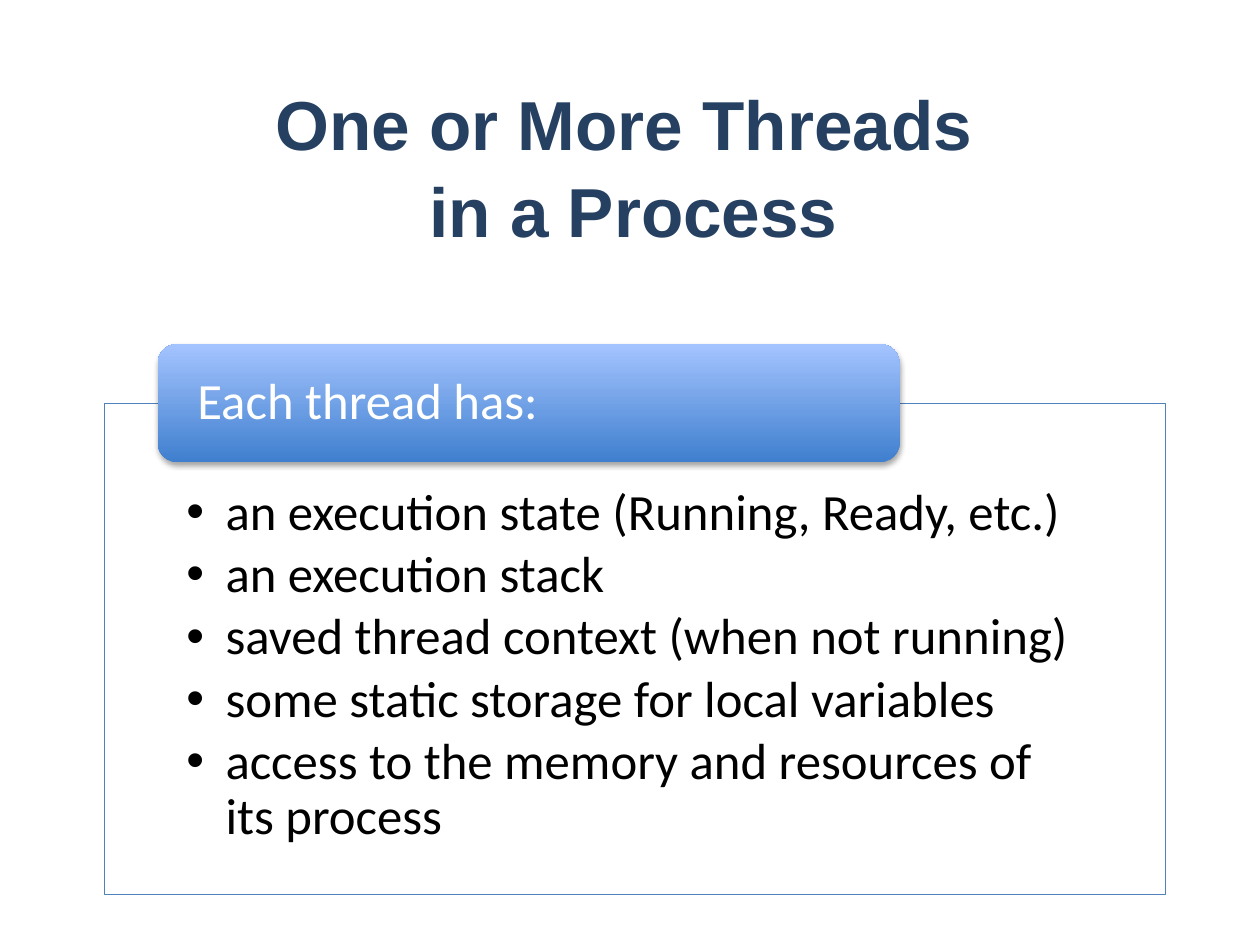
import dataclasses

import lxml.etree
import pptx
import pptx.dml.color
import pptx.enum.dml
import pptx.enum.shapes
import pptx.enum.text
import pptx.oxml.ns
import pptx.util

Inches, Pt = pptx.util.Inches, pptx.util.Pt
Align, Anchor = pptx.enum.text.PP_ALIGN, pptx.enum.text.MSO_ANCHOR
Kind = pptx.enum.shapes.MSO_SHAPE
COLORS = {
    "title": "254061", "text": "000000", "light": "FFFFFF",
    "line": "4F81BD", "deep": "3F7FCE", "pale": "A4C4FF",
}


@dataclasses.dataclass
class Block:
    """A box of text: place, insets, lines and formats, in inches and points."""
    at: tuple
    inset: tuple
    lines: list
    font: dict
    color: str
    frame: dict
    para: dict
    bullet: bool = False


def tint(name: str) -> pptx.dml.color.RGBColor:
    return pptx.dml.color.RGBColor.from_string(COLORS[name])


def apply(target, values: dict) -> None:
    for name, value in values.items():
        setattr(target, name, value)


def add_node(parent, tag: str, **values):
    node = lxml.etree.SubElement(parent, pptx.oxml.ns.qn(tag))
    for name, value in values.items():
        node.set(name, str(value))
    return node


def add_bullet(para) -> None:
    props = para._p.get_or_add_pPr()
    props.set("marL", str(Inches(0.31)))
    props.set("indent", str(Inches(-0.31)))
    add_node(props, "a:buFont", typeface="Arial")
    add_node(props, "a:buChar", char="•")


def write(shape, block: Block) -> None:
    frame = shape.text_frame
    sides = ("margin_left", "margin_top", "margin_right", "margin_bottom")
    apply(frame, dict(zip(sides, map(Inches, block.inset))))
    apply(frame, {"word_wrap": True, **block.frame})
    frame.text = "\n".join(block.lines)
    for para in frame.paragraphs:
        if block.bullet:
            add_bullet(para)
        apply(para, block.para)
        for run in para.runs:
            apply(run.font, block.font)
            run.font.color.rgb = tint(block.color)


def add_shape(slide, kind, block: Block):
    shape = slide.shapes.add_shape(kind, *map(Inches, block.at))
    shape.shadow.inherit = False
    write(shape, block)
    return shape


def add_title(slide, block: Block) -> None:
    write(slide.shapes.add_textbox(*map(Inches, block.at)), block)


def add_panel(slide, block: Block) -> None:
    panel = add_shape(slide, Kind.RECTANGLE, block)
    panel.fill.solid()
    panel.fill.fore_color.rgb = tint("light")
    color = panel._element.spPr.find(".//" + pptx.oxml.ns.qn("a:srgbClr"))
    add_node(color, "a:alpha", val=90000)
    panel.line.color.rgb = tint("line")
    panel.line.width = Pt(0.75)


def add_header(slide, block: Block) -> None:
    header = add_shape(slide, Kind.ROUNDED_RECTANGLE, block)
    header.fill.gradient()
    header.fill.gradient_angle = 90
    for stop, (spot, name) in zip(header.fill.gradient_stops, ((0, "deep"), (1, "pale"))):
        stop.position = spot
        stop.color.rgb = tint(name)
    header.line.fill.background()
    # Soft shadow below
    effects = header._element.spPr.find(pptx.oxml.ns.qn("a:effectLst"))
    shade = add_node(effects, "a:outerShdw", blurRad=Pt(3.1), dist=Pt(1.8),
                     dir=5400000, rotWithShape=0)
    add_node(add_node(shade, "a:srgbClr", val=COLORS["text"]), "a:alpha", val=35000)


BODY = {"name": "Calibri", "size": Pt(29)}
TITLE = Block(
    (0.75, 0.58, 8.56, 1.45), (0.1, 0.05, 0.1, 0.05),
    ["One or More Threads \vin a Process"],
    {"name": "Arial", "size": Pt(39.6), "bold": True}, "title",
    {"vertical_anchor": Anchor.MIDDLE},
    {"alignment": Align.CENTER, "line_spacing": 1.04},
)
PANEL = Block(
    (0.83, 3.2, 8.42, 3.9), (0.65, 0.66, 0.65, 0.23),
    [
        "an execution state (Running, Ready, etc.)",
        "an execution stack",
        "saved thread context (when not running)",
        "some static storage for local variables",
        "access to the memory and resources of its process",
    ],
    BODY, "text", {"vertical_anchor": Anchor.TOP},
    {"alignment": Align.LEFT, "line_spacing": 0.9, "space_after": Pt(4.35)},
    bullet=True,
)
HEADER = Block(
    (1.25, 2.73, 5.89, 0.94), (0.27, 0.05, 0.27, 0.05),
    ["Each thread has:"], BODY, "light",
    {"vertical_anchor": Anchor.MIDDLE},
    {"alignment": Align.LEFT, "line_spacing": 0.9},
)


def main() -> None:
    deck = pptx.Presentation()
    apply(deck, {"slide_width": Inches(10), "slide_height": Inches(7.5)})
    slide = deck.slides.add_slide(deck.slide_layouts[6])
    add_title(slide, TITLE)
    add_panel(slide, PANEL)
    add_header(slide, HEADER)
    deck.save("out.pptx")


if __name__ == "__main__":
    main()
